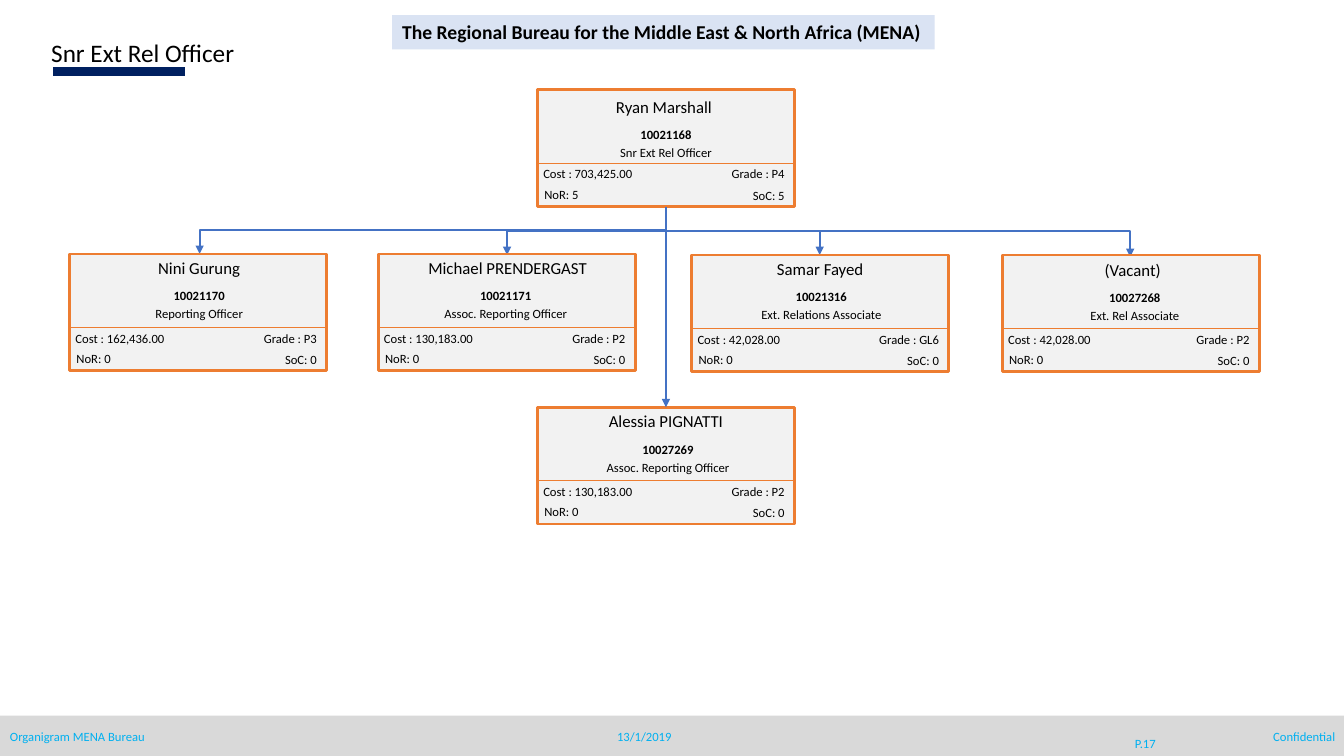
from lxml import etree
from pptx import Presentation
from pptx.dml.color import RGBColor
from pptx.enum.shapes import MSO_CONNECTOR, MSO_SHAPE
from pptx.enum.text import MSO_ANCHOR, PP_ALIGN
from pptx.oxml.ns import qn
from pptx.util import Pt

PX = 9144  # 100 px to the inch
LEFT, CENTER, RIGHT = PP_ALIGN.LEFT, PP_ALIGN.CENTER, PP_ALIGN.RIGHT
TOP, MIDDLE = MSO_ANCHOR.TOP, MSO_ANCHOR.MIDDLE
RECT = MSO_SHAPE.RECTANGLE
STRAIGHT, ELBOW = MSO_CONNECTOR.STRAIGHT, MSO_CONNECTOR.ELBOW
FONT = "Calibri"
COLORS = {
    "text": "000000", "footer_text": "00B0F0", "footer": "D9D9D9",
    "accent": "002060", "banner": "DAE3F3", "card": "F2F2F2",
    "border": "ED7D31", "arrow": "4472C4",
}
CARD_W, CARD_H = 255, 116

prs = Presentation()
prs.slide_width, prs.slide_height = 1333 * PX, 750 * PX
s = prs.slides.add_slide(prs.slide_layouts[6])


def add_text(text, x, y, w, h, size=9, align=LEFT, bold=False,
             color="text", anchor=TOP, fill=None):
    """Add one line of text, on a filled rectangle if fill is given."""
    box = [v * PX for v in (x, y, w, h)]
    if fill:
        sp = s.shapes.add_shape(RECT, *box)
        sp.shadow.inherit = False
        sp.fill.solid()
        sp.fill.fore_color.rgb = RGBColor.from_string(COLORS[fill])
        sp.line.fill.background()
    else:
        sp = s.shapes.add_textbox(*box)
    tf = sp.text_frame
    tf.word_wrap = not fill
    tf.vertical_anchor = anchor
    p = tf.paragraphs[0]
    p.text = text
    p.alignment = align
    font = p.font if not text else p.runs[0].font
    font.name, font.size, font.bold = FONT, Pt(size), bold
    font.color.rgb = RGBColor.from_string(COLORS[color])
    return sp


def add_line(x1, y1, x2, y2, color, width, kind=STRAIGHT, arrow=False):
    cx = s.shapes.add_connector(kind, *[v * PX for v in (x1, y1, x2, y2)])
    cx.line.color.rgb = RGBColor.from_string(COLORS[color])
    cx.line.width = Pt(width)
    if arrow:
        etree.SubElement(cx.line._get_or_add_ln(), qn("a:tailEnd"), type="triangle")
    etree.SubElement(cx._element.spPr, qn("a:effectLst"))
    return cx


# Heading and footer
add_line(53, 71, 184, 71, "accent", 7)
add_text("", 0, 710, 1333, 41, fill="footer")
add_text("Organigram MENA Bureau", 0, 718, 308, 25, color="footer_text")
add_text("Confidential", 1026, 718, 308, 25, align=RIGHT, color="footer_text")
add_text("P.17", 1096, 718, 80, 40, align=CENTER, color="footer_text", anchor=MIDDLE)
add_text("13/1/2019", 595, 718, 88, 25, align=CENTER, color="footer_text", anchor=MIDDLE)
add_text("Snr Ext Rel Officer", 41, 32, 530, 41, size=18)
add_text("The Regional Bureau for the Middle East & North Africa (MENA)",
         389, 15, 538, 34, size=14, bold=True, fill="banner")

# Branches that leave the trunk sideways and drop onto a card
for x1, x2, y2 in ((674, 503, 253), (672, 813, 253), (656, 1121, 255)):
    cx = add_line(x1, 229, x2, y2, "arrow", 1.5, ELBOW, arrow=True)
    cx._element.spPr.find(qn("a:prstGeom")).set("prst", "bentConnector2")

# Branch from the manager to the first card: turned a quarter to leave downwards
cx = add_line(406, -3, 453, 460, "arrow", 1.5, ELBOW, arrow=True)
cx._element.spPr.find(qn("a:xfrm")).set("rot", str(90 * 60000))

# x, y, name shift, post shift, text drop, name, post, role, cost, grade, reports
cards = [
    (533, 89, -2, 0, 3, "Ryan Marshall", "10021168",
     "Snr Ext Rel Officer", "703,425.00", "P4", 5),
    (69, 252, 1, 1, 0, "Nini Gurung", "10021170",
     "Reporting Officer", "162,436.00", "P3", 0),
    (375, 252, 1, -1, 0, "Michael PRENDERGAST", "10021171",
     "Assoc. Reporting Officer", "130,183.00", "P2", 0),
    (686, 253, 0, 1, 0, "Samar Fayed", "10021316",
     "Ext. Relations Associate", "42,028.00", "GL6", 0),
    (994, 253, 2, 4, 1, "(Vacant)", "10027268",
     "Ext. Rel Associate", "42,028.00", "P2", 0),
    (533, 404, 0, 2, 0, "Alessia PIGNATTI", "10027269",
     "Assoc. Reporting Officer", "130,183.00", "P2", 0),
]
frames = []
for x, y, name_dx, post_dx, dy, name, post, role, cost, grade, reports in cards:
    frame = add_text("", x, y, CARD_W, CARD_H, fill="card")
    frame.line.color.rgb = RGBColor.from_string(COLORS["border"])
    frame.line.width = Pt(2)
    frames.append(frame)
    add_line(x, y + 73, x + CARD_W, y + 73, "border", 1)
    add_text(name, x + name_dx, y + dy - 1, CARD_W, 31, size=12, align=CENTER)
    add_text(post, x + post_dx, y + dy + 29, CARD_W, 25, align=CENTER, bold=True)
    add_text(role, x + post_dx, y + dy + 47, CARD_W, 25, align=CENTER)
    add_text(f"Cost : {cost}", x - 4, y + 71, 123, 25)
    add_text(f"Grade : {grade}", x + 133, y + 71, 122, 25, align=RIGHT)
    add_text(f"NoR: {reports}", x - 3, y + 91, 79, 25)
    add_text(f"SoC: {reports}", x + 153, y + 92, 102, 25, align=RIGHT)

# Straight line from the manager to the lower card
cx = add_line(661, 205, 661, 404, "arrow", 1.5, arrow=True)
cx.begin_connect(frames[0], 2)
cx.end_connect(frames[-1], 0)

prs.save("out.pptx")
